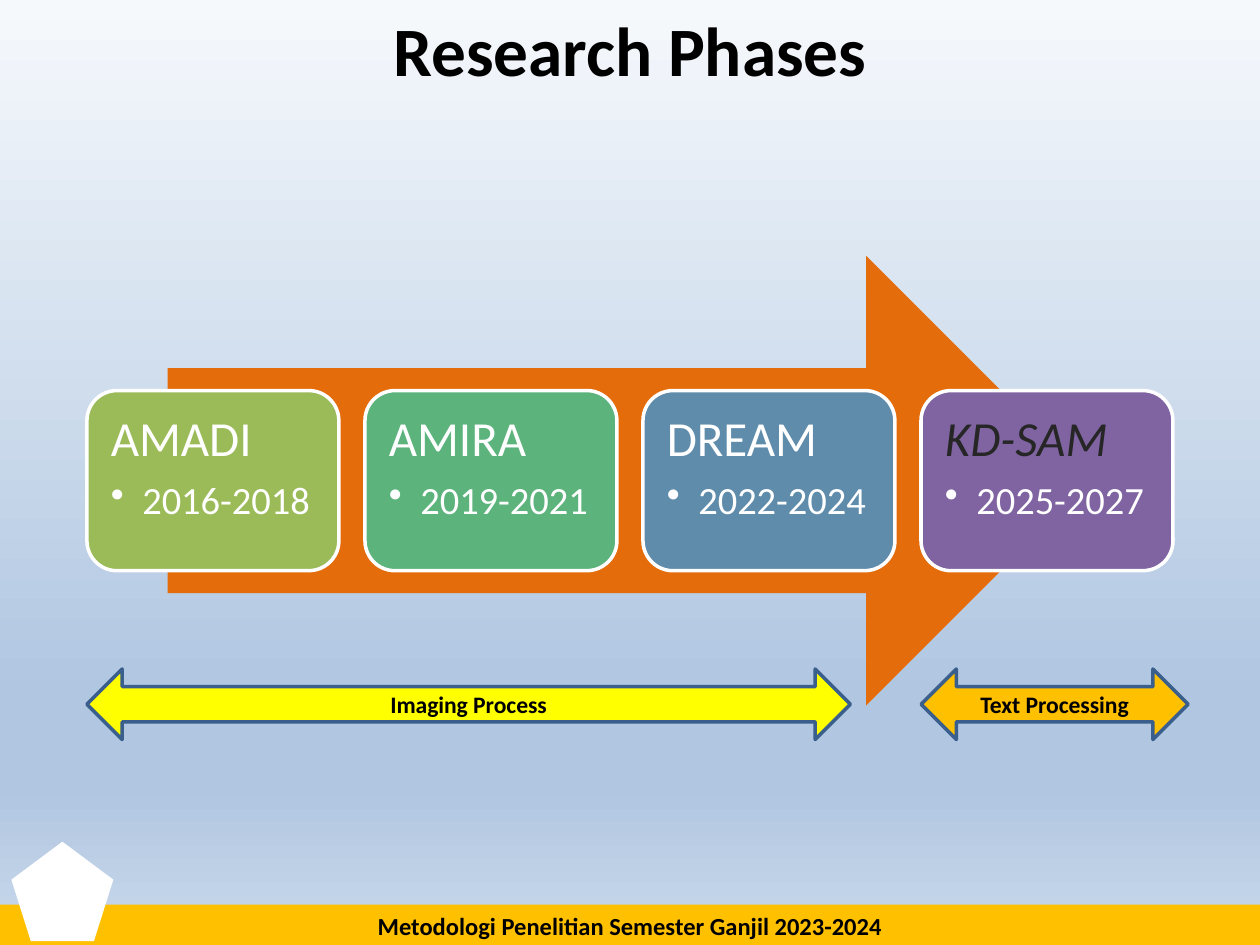
"""Build the Research Phases slide: a timeline arrow with four phase cards."""
from lxml import etree
from pptx import Presentation
from pptx.dml.color import RGBColor
from pptx.enum.shapes import MSO_SHAPE as SHAPE
from pptx.enum.text import MSO_ANCHOR as ANCHOR, PP_ALIGN as ALIGN
from pptx.oxml.ns import qn
from pptx.util import Inches, Pt


def write(paragraph, text, size, color="000000", bold=False, italic=False,
          align=ALIGN.CENTER, after=0, spacing=1.0):
    paragraph.alignment = align
    paragraph.space_before, paragraph.space_after = Pt(0), Pt(after)
    paragraph.line_spacing = spacing
    run = paragraph.add_run()
    run.text = text
    font = run.font
    font.name, font.size, font.bold, font.italic = "Calibri", Pt(size), bold, italic
    font.color.rgb = RGBColor.from_string(color)


def add_block(kind, left, top, width, height, fill, line=None):
    shape = slide.shapes.add_shape(
        kind, Inches(left), Inches(top), Inches(width), Inches(height))
    shape.shadow.inherit = False
    shape.fill.solid()
    shape.fill.fore_color.rgb = RGBColor.from_string(fill)
    if line:
        shape.line.color.rgb = RGBColor.from_string(line)
        shape.line.width = Pt(2)
    else:
        shape.line.fill.background()
    return shape


WIDTH, HEIGHT = 10, 7.5
MARGIN, CARD_WIDTH, CARD_TOP, CARD_HEIGHT = 0.69, 2, 3.1, 1.43
PHASES = [
    ("AMADI", "2016-2018", "9BBB59", "FFFFFF", False),
    ("AMIRA", "2019-2021", "5CB37C", "FFFFFF", False),
    ("DREAM", "2022-2024", "608CAB", "FFFFFF", False),
    ("KD-SAM", "2025-2027", "8064A2", "262626", True),
]
PITCH = (WIDTH - 2 * MARGIN - CARD_WIDTH) / (len(PHASES) - 1)

presentation = Presentation()
presentation.slide_width, presentation.slide_height = Inches(WIDTH), Inches(HEIGHT)
slide = presentation.slides.add_slide(presentation.slide_layouts[5])

background = slide.background.fill
background.gradient()
background.gradient_angle = 270
stops = background._xPr.find(qn("a:gradFill")).find(qn("a:gsLst"))
for stop in list(stops):
    stops.remove(stop)
for position, color in [(0, "F6F9FC"), (74, "B0C6E1"), (83, "B0C6E1"), (100, "CAD9EB")]:
    stop = etree.SubElement(stops, qn("a:gs"), pos=str(position * 1000))
    etree.SubElement(stop, qn("a:srgbClr"), val=color)

title = slide.shapes.title
title.left, title.top = Inches(0), Inches(0.02)
title.width, title.height = Inches(WIDTH), Inches(0.73)
title.text_frame.vertical_anchor = ANCHOR.MIDDLE
write(title.text_frame.paragraphs[0], "Research Phases", 39.6, bold=True)

footer = add_block(SHAPE.RECTANGLE, 0, 7.18, WIDTH, 0.34, "FFC000")
write(footer.text_frame.paragraphs[0],
      "Metodologi Penelitian Semester Ganjil 2023-2024", 14, bold=True)
add_block(SHAPE.REGULAR_PENTAGON, 0.09, 6.68, 0.81, 0.79, "FFFFFF")
add_block(SHAPE.RIGHT_ARROW, 1.33, 2.03, 7.33, 3.57, "E46C0A")

for column, (name, years, fill, color, italic) in enumerate(PHASES):
    card = add_block(SHAPE.ROUNDED_RECTANGLE, MARGIN + column * PITCH, CARD_TOP,
                     CARD_WIDTH, CARD_HEIGHT, fill, line="FFFFFF")
    frame = card.text_frame
    frame.vertical_anchor = ANCHOR.TOP
    frame.margin_left = frame.margin_right = Inches(0.12)
    frame.margin_top = frame.margin_bottom = Inches(0.12)
    write(frame.paragraphs[0], name, 28, color=color, italic=italic,
          align=ALIGN.LEFT, after=8, spacing=0.9)
    bullet = frame.add_paragraph()
    bullet.level = 1
    write(bullet, years, 22, color="FFFFFF", align=ALIGN.LEFT, after=3, spacing=0.9)
    properties = bullet._p.get_or_add_pPr()
    properties.set("marL", str(Inches(0.25)))
    properties.set("indent", str(Inches(-0.25)))
    etree.SubElement(properties, qn("a:buChar"), char="•")

for label, column, width, fill in [("Imaging Process", 0, 6.06, "FFFF00"),
                                   ("Text Processing", 3, 2.12, "FFC000")]:
    span = add_block(SHAPE.LEFT_RIGHT_ARROW, MARGIN + column * PITCH, 5.31,
                     width, 0.56, fill, line="3A5F8C")
    write(span.text_frame.paragraphs[0], label, 13.5, bold=True)

presentation.save("out.pptx")
